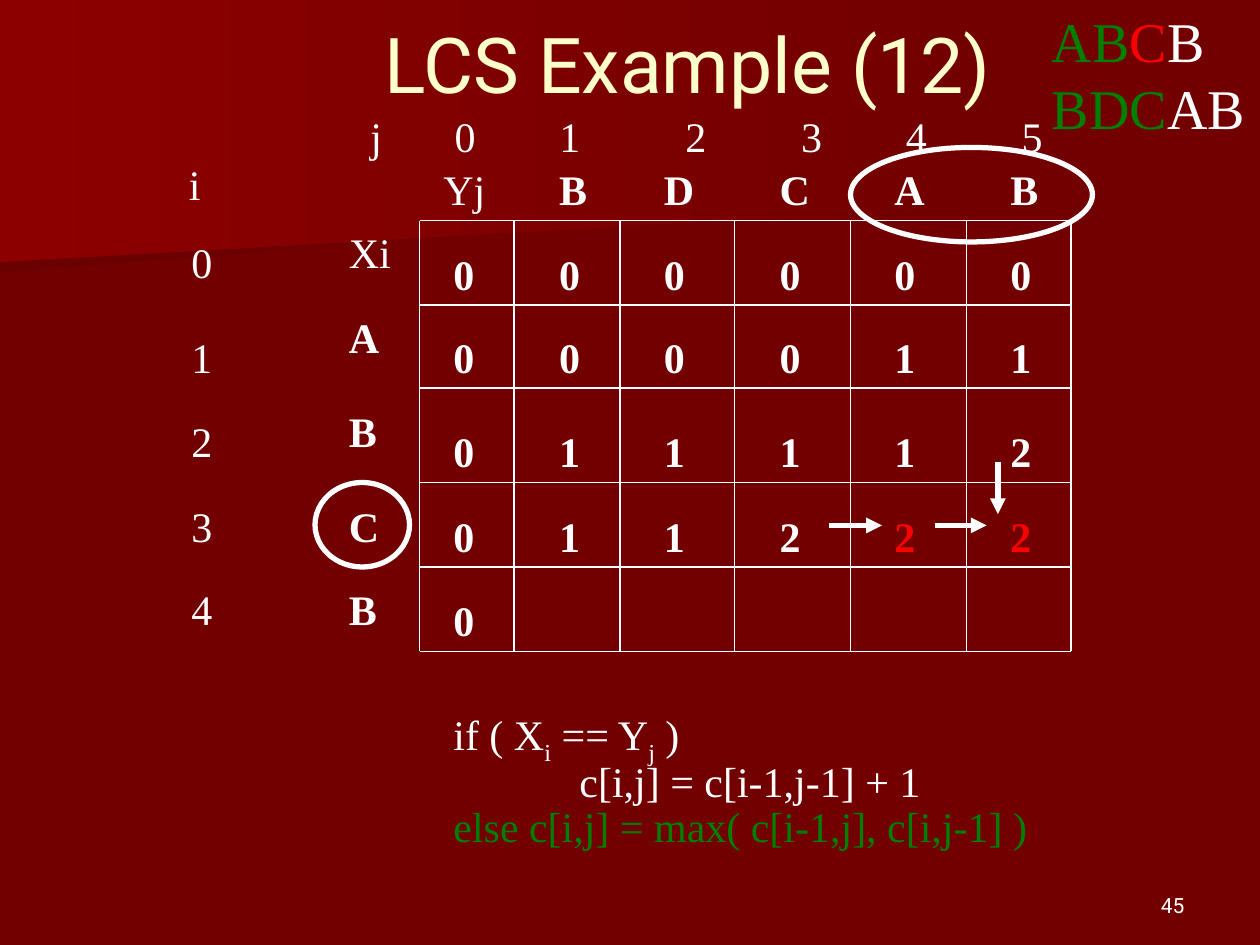
from lxml import etree
from pptx import Presentation
from pptx.dml.color import RGBColor
from pptx.enum.shapes import MSO_CONNECTOR, MSO_SHAPE
from pptx.enum.text import MSO_ANCHOR, PP_ALIGN
from pptx.oxml.ns import qn
from pptx.util import Inches, Pt

STRAIGHT, OVAL = MSO_CONNECTOR.STRAIGHT, MSO_SHAPE.OVAL
MIDDLE, BOTTOM = MSO_ANCHOR.MIDDLE, MSO_ANCHOR.BOTTOM
LEFT, CENTER, RIGHT = PP_ALIGN.LEFT, PP_ALIGN.CENTER, PP_ALIGN.RIGHT
WHITE = RGBColor(0xFF, 0xFF, 0xFF)
CREAM = RGBColor(0xFF, 0xFF, 0xCC)
RED = RGBColor(0xFF, 0x00, 0x00)
GREEN = RGBColor(0x00, 0x80, 0x00)
MAROON = RGBColor(0x72, 0x00, 0x00)
DARK = RGBColor(0x6B, 0x00, 0x00)
BRIGHT = RGBColor(0x8C, 0x00, 0x00)
SERIF, SANS = "Times New Roman", "Roboto"

TITLE = "LCS Example (12)"
PAGE = "45"
BANDS = [
    (DARK, [(7.78, 1.53), (0, 2.17), (0, 1.01), (7.79, 1.01), (7.78, 1.28)]),
    (BRIGHT, [(7.92, 1.62), (0, 2.08), (0, 0), (7.92, 0)]),
]
COL_EDGES = [3.33, 4.08, 4.92, 5.83, 6.75, 7.67, 8.5]
ROW_EDGES = [1.75, 2.42, 3.08, 3.83, 4.5, 5.17]
TEXT_LEFTS = [3.42, 4.34, 5.17, 6.09, 7, 7.92]
VALUES = ["000000", "000011", "011112", "011222", "0"]
CHANGED = {(3, 4), (3, 5)}
COL_INDEXES = "j\t0\t1\t2\t3\t4\t5"
COL_TABS = [0.67, 1.5, 2.5, 3.42, 4.25, 5.17]
COL_LETTERS = ["Yj", "B", "D", "C", "A", "B"]
ROW_LETTERS = [("Xi", 1.75), ("A", 2.42), ("B", 3.17), ("C", 3.92), ("B", 4.58)]
ROW_INDEXES = [("0", 1.83), ("1", 2.58), ("2", 3.25), ("3", 3.92), ("4", 4.58)]
SUB = -25000
CODE = [
    [("if ( X", WHITE, 0), ("i", WHITE, SUB), (" == Y", WHITE, 0),
     ("j", WHITE, SUB), (" )", WHITE, 0)],
    [("c[i,j] = c[i-1,j-1] + 1", WHITE, 0)],
    [("else c[i,j] = max( c[i-1,j], c[i,j-1] )", GREEN, 0)],
]
STRINGS = [
    [("AB", GREEN, 0), ("C", RED, 0), ("B", WHITE, 0)],
    [("BDC", GREEN, 0), ("AB", WHITE, 0)],
]
ARROWS = [(6.58, 4.17, 7, 4.17), (7.42, 4.17, 7.83, 4.17), (7.92, 3.67, 7.92, 4.08)]
RINGS = [(6.75, 1.17, 1.92, 0.75), (2.5, 3.83, 0.75, 0.67)]


def add_run(p, text, size=24, color=WHITE, bold=False, name=SERIF):
    r = p.add_run()
    r.text = text
    for key, value in {"size": Pt(size), "bold": bold, "name": name}.items():
        setattr(r.font, key, value)
    r.font.color.rgb = color
    return r


def add_box(s, box, lines, size=24, bold=False, name=SERIF, align=LEFT):
    tf = s.shapes.add_textbox(*map(Inches, box)).text_frame
    tf.word_wrap = True
    for n, line in enumerate(lines):
        p = tf.add_paragraph() if n else tf.paragraphs[0]
        p.alignment = align
        for text, color, shift in line:
            r = add_run(p, text, size, color, bold, name)
            if shift:
                r.font._element.set("baseline", str(shift))
    return tf


def add_label(s, text, x, y, bold=False, color=WHITE):
    width = 0.53 if len(text) > 1 else 0.44 if text.isalpha() else 0.36
    add_box(s, (x, y, width, 0.5), [[(text, color, 0)]], bold=bold)


def add_line(s, ends, width):
    line = s.shapes.add_connector(STRAIGHT, *map(Inches, ends))
    line.line.color.rgb = WHITE
    line.line.width = Pt(width)
    etree.SubElement(line._element.spPr, qn("a:effectLst"))
    return line


def add_bands(s):
    for color, points in BANDS:
        fb = s.shapes.build_freeform(*map(Inches, points[0]), scale=1.0)
        fb.add_line_segments([tuple(map(Inches, pt)) for pt in points[1:]], close=True)
        sp = fb.convert_to_shape()
        sp.shadow.inherit = False
        sp.line.fill.background()
        sp.fill.gradient()
        sp.fill.gradient_angle = 0
        for stop, stop_color in zip(sp.fill.gradient_stops, (color, MAROON)):
            stop.color.rgb = stop_color


def add_grid(s):
    for x in COL_EDGES:
        add_line(s, (x, ROW_EDGES[0], x, ROW_EDGES[-1]), 0.75)
    for y in ROW_EDGES:
        add_line(s, (COL_EDGES[0], y, COL_EDGES[-1], y), 0.75)
    for i, values in enumerate(VALUES):
        for j, value in enumerate(values):
            x = TEXT_LEFTS[j] if j else 3.5
            color = RED if (i, j) in CHANGED else WHITE
            add_label(s, value, x, ROW_EDGES[i + 1] - 0.5, True, color)


def add_headings(s):
    tf = add_box(s, (2.84, 0.83, 5.62, 0.5), [[(COL_INDEXES, WHITE, 0)]])
    tabs = etree.SubElement(tf.paragraphs[0]._p.get_or_add_pPr(), qn("a:tabLst"))
    for stop in COL_TABS:
        etree.SubElement(tabs, qn("a:tab"), pos=str(Inches(stop)), algn="l")
    for j, (text, x) in enumerate(zip(COL_LETTERS, TEXT_LEFTS)):
        add_label(s, text, x, 1.25, j > 0)
    for i, (text, y) in enumerate(ROW_LETTERS):
        add_label(s, text, 2.67, y, i > 0)
    add_label(s, "i", 1.4, 1.21)
    for text, y in ROW_INDEXES:
        add_label(s, text, 1.42, y)


def add_marks(s):
    for ends in ARROWS:
        line = add_line(s, ends, 3)
        etree.SubElement(line.line._get_or_add_ln(), qn("a:tailEnd"), type="triangle")
    for box in RINGS:
        sp = s.shapes.add_shape(OVAL, *map(Inches, box))
        sp.shadow.inherit = False
        sp.fill.background()
        sp.line.color.rgb = WHITE
        sp.line.width = Pt(3)


def add_title(s):
    title = s.shapes.title
    s.shapes._spTree.append(title._element)
    box = {"left": 0.92, "top": 0, "width": 9.08, "height": 1}
    for key, value in box.items():
        setattr(title, key, Inches(value))
    title.text_frame.vertical_anchor = MIDDLE
    p = title.text_frame.paragraphs[0]
    p.alignment = CENTER
    add_run(p, TITLE, 44, CREAM, name=SANS)


def main():
    prs = Presentation()
    prs.slide_width, prs.slide_height = Inches(10), Inches(7.5)
    s = prs.slides.add_slide(prs.slide_layouts[5])
    s.background.fill.solid()
    s.background.fill.fore_color.rgb = MAROON
    add_bands(s)
    add_title(s)
    add_grid(s)
    add_headings(s)
    code = add_box(s, (3.5, 5.58, 5.25, 1.23), CODE)
    for p in code.paragraphs:
        p.line_spacing = 0.9
    code.paragraphs[1]._p.get_or_add_pPr().set("marL", str(Inches(1)))
    add_marks(s)
    add_box(s, (8.25, 0, 1.75, 1.17), STRINGS, 32)
    page = add_box(s, (7.17, 6.83, 2.33, 0.5), [[(PAGE, WHITE, 0)]], 12, name=SANS, align=RIGHT)
    page.vertical_anchor = BOTTOM
    prs.save("out.pptx")


if __name__ == "__main__":
    main()
